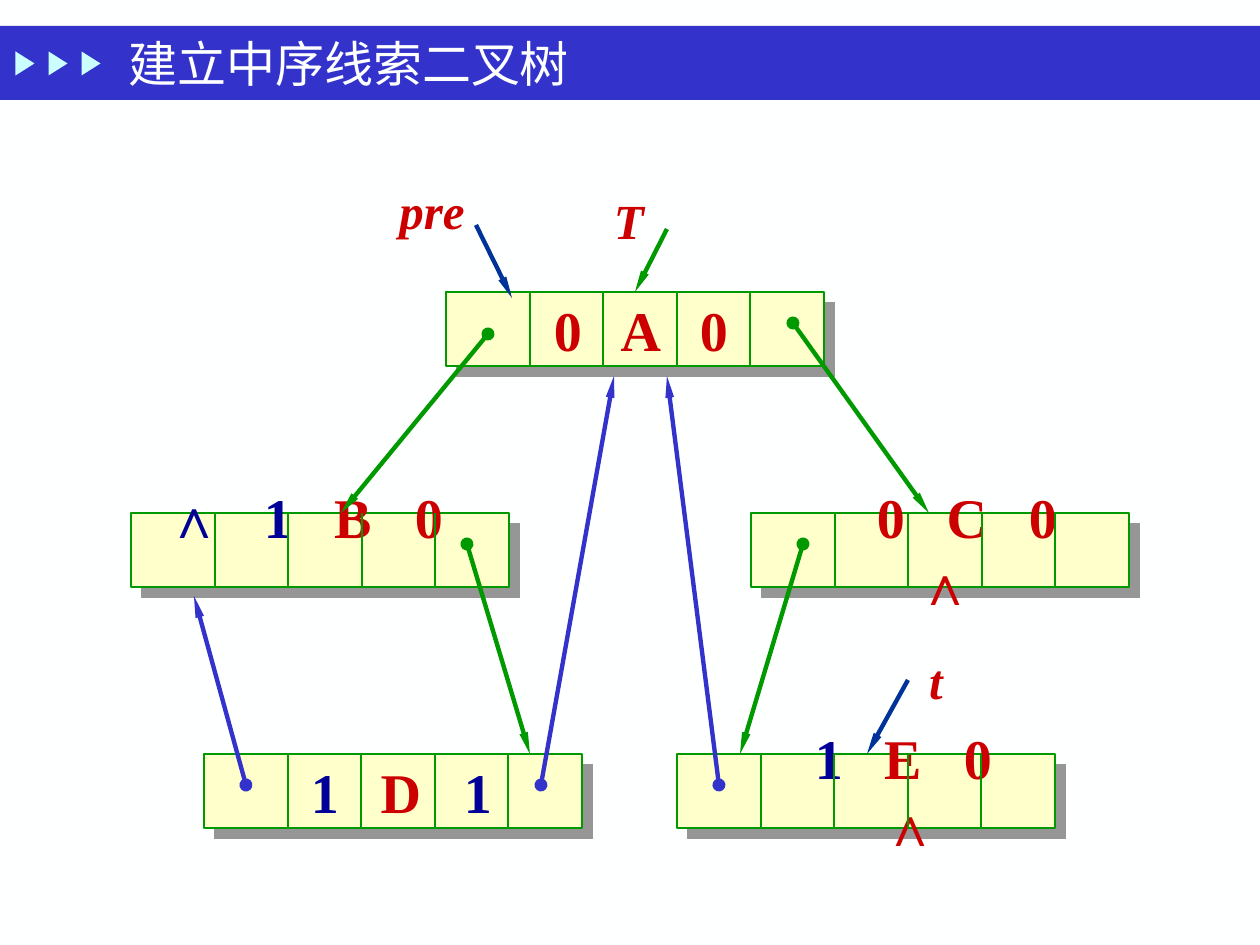
from lxml import etree
from pptx import Presentation
from pptx import util as u
from pptx.dml.color import RGBColor
from pptx.enum import shapes, text
from pptx.oxml import ns

PX = 914400 // 126
FONT = "Times New Roman"
WHITE = RGBColor(0xFE, 0xFF, 0xFF)
BLUE = RGBColor(0x33, 0x33, 0xCC)
CYAN = RGBColor(0xCB, 0xFF, 0xFF)
CREAM = RGBColor(0xFF, 0xFF, 0xCC)
GREEN = RGBColor(0x00, 0x99, 0x00)
RED = RGBColor(0xCC, 0x00, 0x00)
NAVY = RGBColor(0x00, 0x00, 0x99)
STEEL = RGBColor(0x00, 0x33, 0x99)

NODE_W, NODE_H = 378, 74
NODES = [
    (315, 120, 0, [[("0", RED, 122), ("A", RED, 195), ("0", RED, 268)]]),
    (0, 341, -34, [[("∧", NAVY, 64), ("1", NAVY, 147),
                    ("B", RED, 222), ("0", RED, 298)]]),
    (620, 341, 0, [[("0", RED, 140), ("C", RED, 216), ("0", RED, 292)],
                   [("∧", RED, 195)]]),
    (73, 582, 0, [[("1", NAVY, 121), ("D", RED, 197), ("1", NAVY, 274)]]),
    (546, 582, 0, [[("1", NAVY, 152), ("E", RED, 226), ("0", RED, 301)],
                   [("∧", RED, 234)]]),
]
CHILD_LINKS = [(357, 162, 210, 341), (662, 151, 798, 341),
               (336, 372, 399, 582), (672, 372, 609, 582)]
THREADS = [(115, 613, 63, 424), (410, 613, 483, 204), (588, 613, 536, 204)]
POINTERS = [("T", 498, 48, (536, 57, 504, 120), GREEN),
            ("pre", 301, 38, (345, 53, 381, 126), STEEL),
            ("t", 805, 508, (777, 508, 736, 582), STEEL)]


def emu(*lengths):
    """Turn px lengths into EMU."""
    return [u.Emu(n * PX) for n in lengths]


def child(parent, tag, **attrs):
    """Append a drawing element with the given attributes."""
    return etree.SubElement(parent, ns.qn(tag), {k: str(v) for k, v in attrs.items()})


def add_block(s, kind, box, fill):
    """Add a plain filled shape without outline or shadow."""
    sp = s.shapes.add_shape(kind, *emu(*box))
    sp.shadow.inherit = False
    sp.fill.solid()
    sp.fill.fore_color.rgb = fill
    sp.line.fill.background()
    return sp


def add_line(s, ends, color, width, head=None, tail=None):
    """Add a straight line with optional line ends."""
    c = s.shapes.add_connector(shapes.MSO_CONNECTOR.STRAIGHT, *emu(*ends))
    c.line.color.rgb = color
    c.line.width = u.Pt(width)
    ln = c.line._get_or_add_ln()
    if head:
        child(ln, "a:headEnd", type=head)
    if tail:
        child(ln, "a:tailEnd", type=tail, w="sm", len="lg")
    child(c.element.spPr, "a:effectLst")


def add_text_box(s, box):
    """Add a text box without insets, anchored in the middle."""
    tf = s.shapes.add_textbox(*emu(*box)).text_frame
    tf.margin_left = tf.margin_right = tf.margin_top = tf.margin_bottom = 0
    tf.vertical_anchor = text.MSO_ANCHOR.MIDDLE
    tf.word_wrap = True
    return tf


def add_run(p, words, size, color, bold=False, italic=False):
    """Add one formatted run to a paragraph."""
    r = p.add_run()
    r.text = words
    r.font.name = FONT
    r.font.size = u.Pt(size)
    r.font.color.rgb = color
    r.font.bold = bold
    r.font.italic = italic


def draw_header(s, box):
    """Draw the title band with its three markers."""
    x, y, w, h = box
    add_block(s, shapes.MSO_SHAPE.RECTANGLE, box, BLUE)
    for i in range(3):
        marker = (x + 13 + 33 * i, y + 28, 24, 19)
        add_block(s, shapes.MSO_SHAPE.ISOSCELES_TRIANGLE, marker, CYAN).rotation = 90
    title = s.shapes.title
    title.element.getparent().append(title.element)
    title.left, title.top, title.width, title.height = emu(x + 116, y, 882, h)
    tf = title.text_frame
    tf.auto_size = text.MSO_AUTO_SIZE.NONE
    tf.vertical_anchor = text.MSO_ANCHOR.MIDDLE
    p = tf.paragraphs[0]
    p.alignment = text.PP_ALIGN.LEFT
    add_run(p, "建立中序线索二叉树", 28, WHITE)


def draw_node(s, box, rise, rows):
    """Draw a five-cell node whose symbols sit on centred tab stops."""
    x, y, w, h = box
    sp = add_block(s, shapes.MSO_SHAPE.RECTANGLE, box, CREAM)
    sp.line.color.rgb = GREEN
    sp.line.width = u.Pt(0.75)
    effects = sp.element.spPr.find(ns.qn("a:effectLst"))
    shadow = child(effects, "a:outerShdw", dist=u.Pt(8.5), dir=45 * 60000,
                   algn="ctr", rotWithShape=0)
    child(shadow, "a:srgbClr", val="969696")
    tf = add_text_box(s, (x, y + rise, w, h))
    for i, row in enumerate(rows):
        p = tf.add_paragraph() if i else tf.paragraphs[0]
        p.alignment = text.PP_ALIGN.LEFT
        tabs = child(p._p.get_or_add_pPr(), "a:tabLst")
        for symbol, color, center in row:
            child(tabs, "a:tab", pos=center * PX, algn="ctr")
            add_run(p, "\t" + symbol, 32, color, bold=True)
    for i in range(4):
        cut = x + 84 + 147 * i // 2
        add_line(s, (cut, y, cut, y + h), GREEN, 0.75)


def draw_tree(s, box):
    """Draw the nodes, child links, threads and named pointers."""
    x, y = box[:2]

    def shift(ends):
        """Move line ends into the box."""
        return [n + d for n, d in zip(ends, (x, y, x, y))]

    for left, top, rise, rows in NODES:
        draw_node(s, (x + left, y + top, NODE_W, NODE_H), rise, rows)
    for links, color in ((CHILD_LINKS, GREEN), (THREADS, BLUE)):
        for ends in links:
            add_line(s, shift(ends), color, 2.5, "oval", "triangle")
    for name, cx, cy, ends, color in POINTERS:
        add_line(s, shift(ends), color, 2.5, tail="triangle")
        p = add_text_box(s, (x + cx - 45, y + cy - 36, 90, 72)).paragraphs[0]
        p.alignment = text.PP_ALIGN.CENTER
        add_run(p, name, 28, RED, bold=True, italic=True)


def main():
    """Build and save the slide."""
    prs = Presentation()
    prs.slide_width, prs.slide_height = emu(1260, 945)
    s = prs.slides.add_slide(prs.slide_layouts[5])
    s.background.fill.solid()
    s.background.fill.fore_color.rgb = WHITE
    draw_header(s, (0, 26, 1260, 74))
    draw_tree(s, (131, 172, 998, 656))
    prs.save("out.pptx")


if __name__ == "__main__":
    main()
